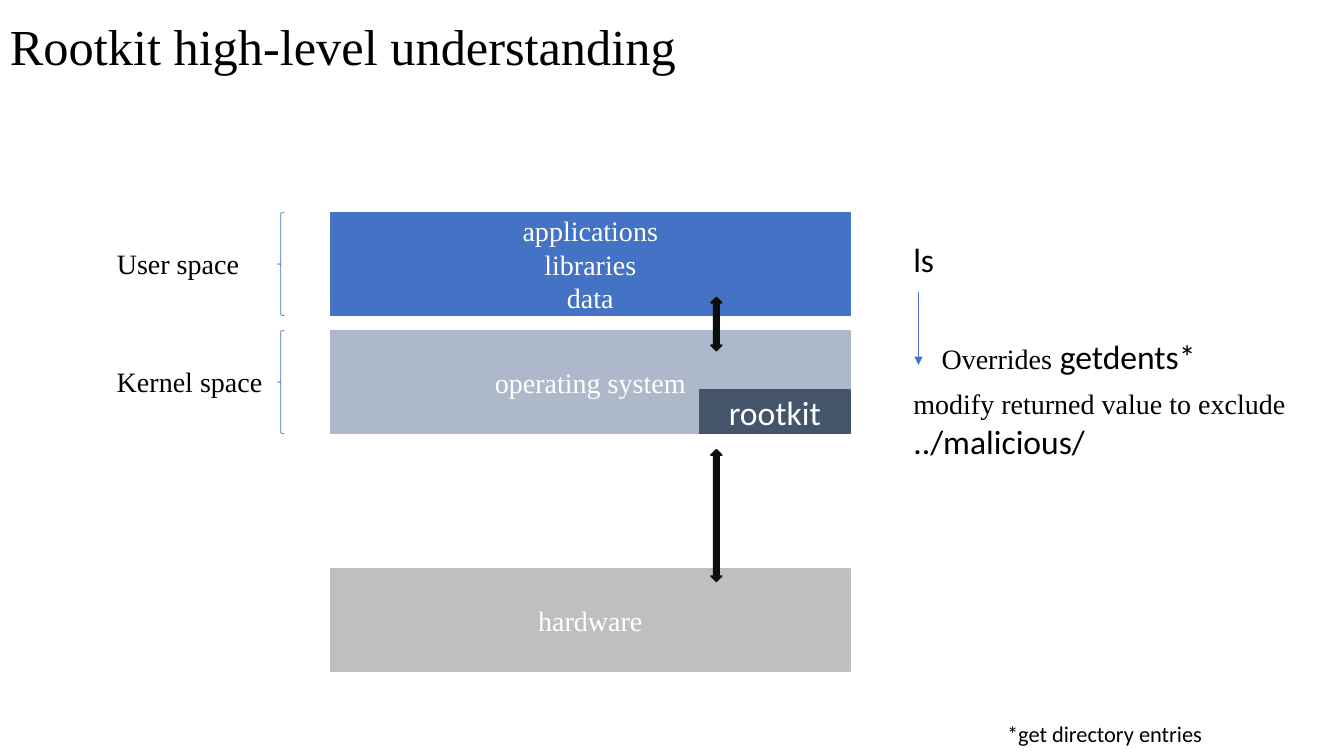
from lxml import etree
from pptx import Presentation
from pptx.dml.color import RGBColor
from pptx.enum.shapes import MSO_CONNECTOR as Connector, MSO_SHAPE as Shape
from pptx.enum.text import MSO_ANCHOR as Anchor, MSO_AUTO_SIZE as AutoSize, PP_ALIGN as Align
from pptx.oxml.ns import qn
from pptx.util import Inches, Pt

THEME = {
    "serif": "Times New Roman", "sans": "Calibri",
    "title": 36, "large": 24, "body": 20, "note": 16,
    "black": "000000", "white": "FFFFFF", "blue": "4472C4", "mist": "ADB9CA",
    "gray": "BFBFBF", "slate": "44546A", "ink": "0D0D0D",
}

LAYERS = [
    {"top": 2.11, "lines": ["applications", "libraries", "data"], "fill": "blue",
     "space": "User space", "label_width": 1.42},
    {"top": 3.28, "lines": ["operating system"], "fill": "mist",
     "space": "Kernel space", "label_width": 1.66},
    {"top": 5.64, "lines": ["hardware"], "fill": "gray", "space": None},
]
ARROW_SPANS = [(2.95, 0.53), (4.46, 1.31)]
TITLE = "Rootkit high-level understanding"
FOOTNOTE = "*get directory entries"
COMMAND = "ls"
OVERRIDE = [("Overrides", "serif", "body"), (" getdents*", "sans", "large")]
EXCLUSION = [("modify returned value to exclude", "serif", "body"), None,
             ("../malicious/", "sans", "large")]

LAYER_LEFT, LAYER_WIDTH, LAYER_HEIGHT = 3.28, 5.15, 1.02
BRACE_LEFT, BRACE_WIDTH = 2.75, 0.07
LABEL_LEFT, LABEL_HEIGHT = 1.06, 0.44
ARROW_LEFT, ARROW_WIDTH = 7.05, 0.11
ROOTKIT_WIDTH, ROOTKIT_HEIGHT = 1.49, 0.43
NOTES_LEFT = 8.96


def color(name):
    return RGBColor.from_string(THEME[name])


def write(box, paragraphs, ink="black", align=Align.LEFT, anchor=Anchor.TOP,
          wrap=True, grow=False, spacing=None):
    frame = box.text_frame
    frame.word_wrap = wrap
    frame.auto_size = AutoSize.SHAPE_TO_FIT_TEXT if grow else AutoSize.NONE
    frame.vertical_anchor = anchor
    for index, spans in enumerate(paragraphs):
        para = frame.add_paragraph() if index else frame.paragraphs[0]
        para.alignment = align
        if spacing:
            para.line_spacing = spacing
        for item in spans:
            if item is None:
                para.add_line_break()
                continue
            text, face, size = item
            span = para.add_run()
            span.text = text
            span.font.name = THEME[face]
            span.font.size = Pt(THEME[size])
            span.font.color.rgb = color(ink)


def add_text(page, place, spans, **format):
    box = page.shapes.add_textbox(*map(Inches, place))
    write(box, [spans], **format)


def add_figure(page, kind, place, fill=None, line=None, weight=1):
    figure = page.shapes.add_shape(kind, *map(Inches, place))
    figure.shadow.inherit = False
    if fill:
        figure.fill.solid()
        figure.fill.fore_color.rgb = color(fill)
    else:
        figure.fill.background()
    figure.line.color.rgb = color(line or fill)
    figure.line.width = Pt(weight)
    return figure


def add_block(page, place, fill, paragraphs):
    block = add_figure(page, Shape.RECTANGLE, place, fill)
    write(block, paragraphs, ink="white", align=Align.CENTER, anchor=Anchor.MIDDLE)


def add_layer(page, layer):
    top = layer["top"]
    add_block(page, (LAYER_LEFT, top, LAYER_WIDTH, LAYER_HEIGHT), layer["fill"],
              [[(line, "serif", "body")] for line in layer["lines"]])
    if layer["space"]:
        add_figure(page, Shape.LEFT_BRACE, (BRACE_LEFT, top, BRACE_WIDTH, LAYER_HEIGHT),
                   line="blue", weight=0.5)
        label_top = top + (LAYER_HEIGHT - LABEL_HEIGHT) / 2
        add_text(page, (LABEL_LEFT, label_top, layer["label_width"], LABEL_HEIGHT),
                 [(layer["space"], "serif", "body")], wrap=False, grow=True)


def add_arrow(page, start, end):
    arrow = page.shapes.add_connector(Connector.STRAIGHT, *map(Inches, start + end))
    arrow.line.color.rgb = color("blue")
    arrow.line.width = Pt(0.5)
    etree.SubElement(arrow.line._get_or_add_ln(), qn("a:tailEnd"), type="triangle")
    etree.SubElement(arrow._element.spPr, qn("a:effectLst"))


def main():
    deck = Presentation()
    deck.slide_width, deck.slide_height = Inches(13.33), Inches(7.5)
    page = deck.slides.add_slide(deck.slide_layouts[6])

    for layer in LAYERS:
        add_layer(page, layer)
    for top, height in ARROW_SPANS:
        add_figure(page, Shape.UP_DOWN_ARROW, (ARROW_LEFT, top, ARROW_WIDTH, height), "ink")

    rootkit_left = LAYER_LEFT + LAYER_WIDTH - ROOTKIT_WIDTH
    rootkit_top = LAYERS[1]["top"] + LAYER_HEIGHT - ROOTKIT_HEIGHT
    add_block(page, (rootkit_left, rootkit_top, ROOTKIT_WIDTH, ROOTKIT_HEIGHT), "slate",
              [[("rootkit", "sans", "large")]])

    add_text(page, (NOTES_LEFT, 2.32, 1.27, 0.5), [(COMMAND, "sans", "large")], grow=True)
    add_arrow(page, (9.11, 2.9), (9.11, 3.62))
    add_text(page, (9.24, 3.28, 2.74, 0.5), OVERRIDE, wrap=False, grow=True)
    add_text(page, (NOTES_LEFT, 3.79, 3.92, 0.84), EXCLUSION, wrap=False, grow=True)
    add_text(page, (0, 0, 11.5, 0.98), [(TITLE, "serif", "title")],
             anchor=Anchor.MIDDLE, spacing=0.9)
    add_text(page, (9.89, 7.1, 3.22, 0.37), [(FOOTNOTE, "sans", "note")], grow=True)
    deck.save("out.pptx")


if __name__ == "__main__":
    main()
